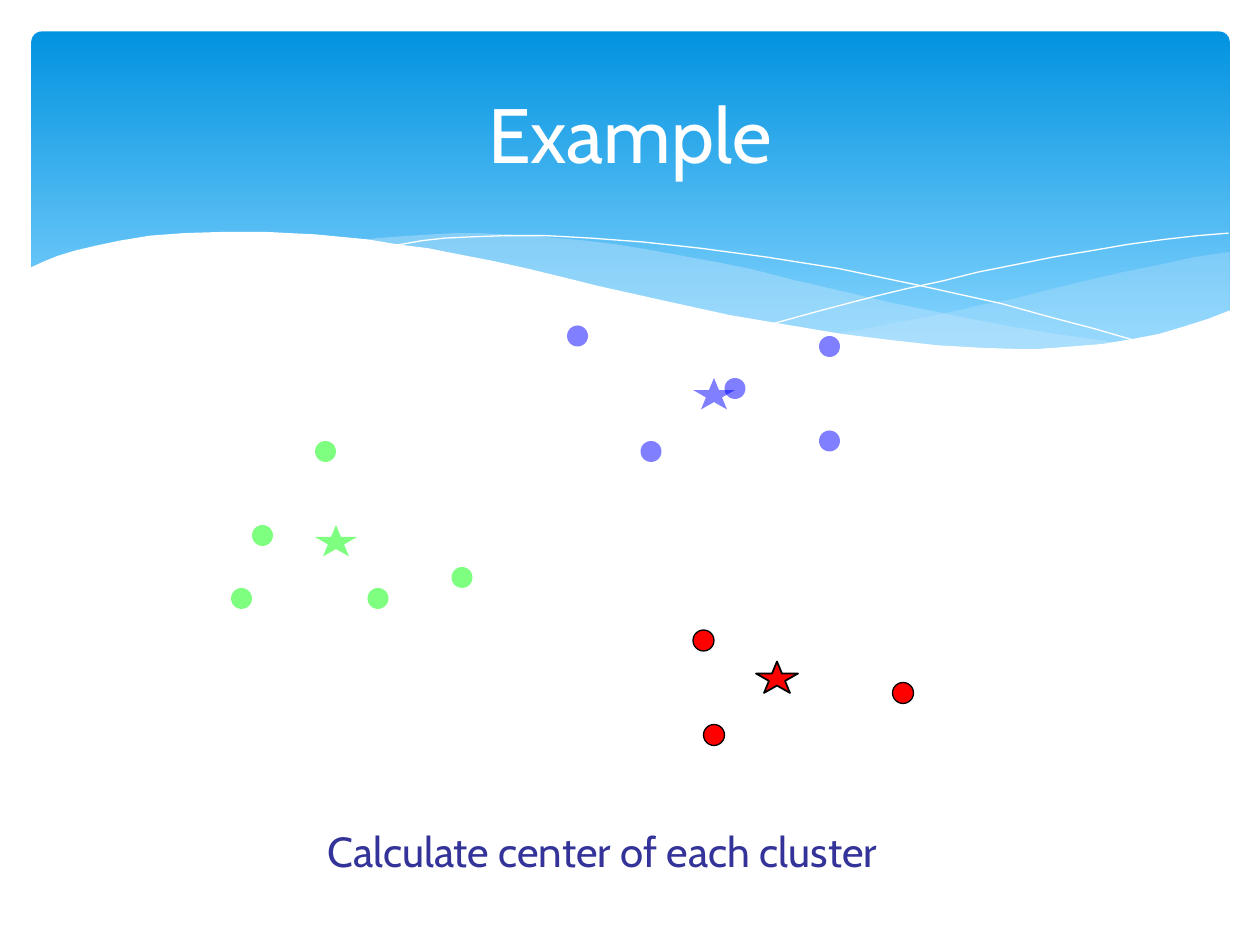
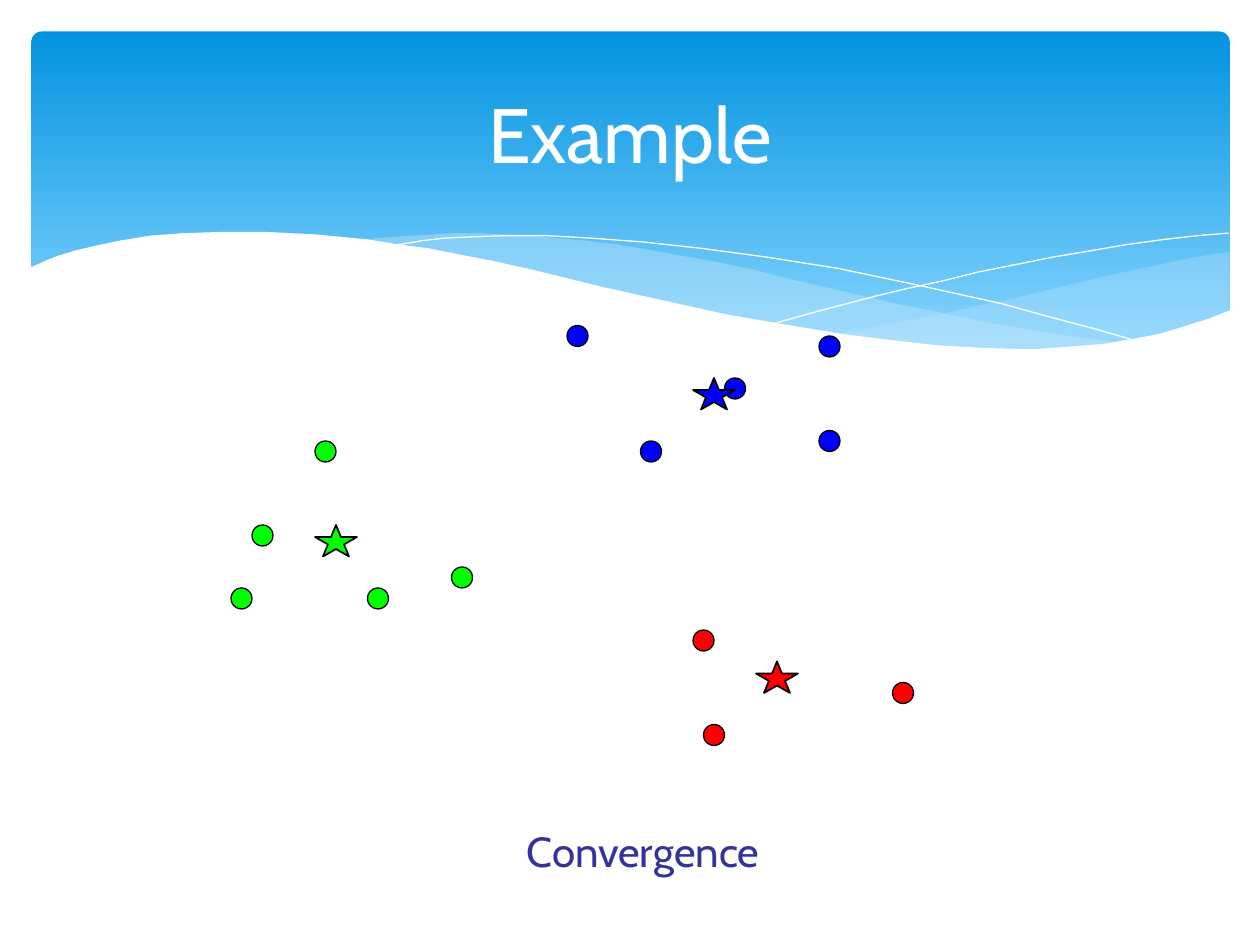
"""Build two slides that show cluster centers before and at convergence."""
import lxml.etree
import pptx
import pptx.dml.color
import pptx.enum.shapes
import pptx.enum.text
import pptx.oxml.ns
import pptx.util

COLORS = {
    "sky_top": "0293E0", "sky_bottom": "83D3FE", "mist": "C6E7FC",
    "white": "FFFFFF", "black": "000000", "caption": "333399",
    "green": "00FF00", "blue": "0000FF", "red": "FF0000",
}
FONT = "Cabin"
SLIDE_WIDTH, SLIDE_HEIGHT = pptx.util.Inches(10), pptx.util.Inches(7.5)
CELL = SLIDE_WIDTH / 120
FINE_CELL = SLIDE_WIDTH / 1000
DOT_SIZE = (2, 2)
STAR_SIZE = (4, 3)
SHAPES = pptx.enum.shapes.MSO_SHAPE

RIGHT_MIST = [
    (975, 200), (948, 204), (921, 210), (891, 216), (861, 223), (832, 230),
    (805, 237), (779, 242), (753, 248), (729, 253), (706, 257), (683, 262),
    (661, 265), (691, 269), (719, 272), (745, 275), (769, 277), (792, 277),
    (814, 278), (835, 277), (854, 276), (872, 274), (889, 272), (905, 269),
    (921, 265), (935, 262), (949, 257), (963, 252), (976, 247), (976, 200),
]
MIDDLE_MIST = [
    (893, 273), (866, 269), (837, 265), (807, 260), (775, 254), (741, 247),
    (706, 240), (668, 231), (629, 222), (598, 214), (569, 208), (541, 203),
    (514, 198), (489, 194), (465, 191), (442, 189), (420, 187), (399, 186),
    (380, 185), (361, 185), (344, 186), (328, 187), (313, 188), (299, 189),
    (286, 191), (323, 196), (362, 203), (404, 211), (449, 222), (491, 232),
    (530, 240), (566, 248), (601, 255), (634, 261), (665, 266), (695, 270),
    (722, 274), (748, 276), (773, 277), (796, 278), (818, 278), (838, 278),
    (857, 277), (876, 275),
]
FALLING_LINE = [
    (309, 195), (318, 194), (335, 191), (353, 189), (374, 188), (401, 187),
    (433, 187), (469, 189), (510, 192), (556, 197), (608, 204), (665, 213),
    (727, 226), (795, 241), (831, 251), (869, 261), (907, 272),
]
RISING_LINE = [
    (613, 257), (653, 246), (695, 235), (720, 229), (748, 223), (776, 216),
    (806, 210), (836, 204), (866, 199), (895, 194), (924, 190), (951, 187),
    (975, 185),
]
WHITE_WAVE = [
    (977, 246), (959, 253), (940, 259), (920, 265), (899, 269), (875, 273),
    (850, 275), (823, 277), (809, 277), (778, 276), (744, 274), (708, 270),
    (668, 265), (626, 258), (579, 250), (529, 239), (475, 227), (447, 220),
    (418, 213), (391, 207), (365, 202), (340, 197), (316, 194), (292, 190),
    (271, 188), (250, 186), (230, 185), (211, 184), (177, 184), (146, 185),
    (119, 187), (95, 191), (76, 195), (59, 199), (46, 203), (36, 207),
    (25, 212), (23, 213), (23, 329), (977, 329),
]
WAVES = [
    (RIGHT_MIST, "mist", 29, None),
    (MIDDLE_MIST, "mist", 40, None),
    (FALLING_LINE, None, 100, ("white", 0)),
    (RISING_LINE, None, 100, ("white", 0)),
    (WHITE_WAVE, "white", 100, None),
]
CLUSTERS = {
    "green": {"center": (30, 50),
              "dots": [(24, 50), (30, 42), (35, 56), (22, 56), (43, 54)]},
    "blue": {"center": (66, 36),
             "dots": [(61, 42), (69, 36), (78, 41), (78, 32), (54, 31)]},
    "red": {"center": (72, 63), "dots": [(67, 69), (85, 65), (66, 60)]},
}
PAGES = [
    {"caption": "Calculate center of each cluster", "column": 30, "width": 67,
     "faded": ("green", "blue")},
    {"caption": "Convergence", "column": 49, "width": 30, "faded": ()},
]


def add_text(text, page, place, size, color, align="LEFT", anchor="TOP"):
    """Write one line of text in a box placed in grid cells."""
    box = page.shapes.add_textbox(*[round(cells * CELL) for cells in place])
    frame = box.text_frame
    frame.word_wrap = True
    frame.vertical_anchor = getattr(pptx.enum.text.MSO_ANCHOR, anchor)
    para = frame.paragraphs[0]
    para.alignment = getattr(pptx.enum.text.PP_ALIGN, align)
    span = para.add_run()
    span.text = text
    span.font.name = FONT
    span.font.size = pptx.util.Pt(size)
    span.font.color.rgb = pptx.dml.color.RGBColor.from_string(COLORS[color])


def paint(shape, fill, opacity=100, outline=None):
    """Set fill, opacity in percent and outline (color, points) of a shape."""
    shape.shadow.inherit = False
    if fill:
        shape.fill.solid()
        shape.fill.fore_color.rgb = pptx.dml.color.RGBColor.from_string(COLORS[fill])
        if opacity < 100:
            color = shape.element.spPr.find(".//" + pptx.oxml.ns.qn("a:srgbClr"))
            lxml.etree.SubElement(color, pptx.oxml.ns.qn("a:alpha"),
                                  val=str(opacity * 1000))
    else:
        shape.fill.background()
    if outline:
        shape.line.color.rgb = pptx.dml.color.RGBColor.from_string(COLORS[outline[0]])
        shape.line.width = pptx.util.Pt(outline[1])
    else:
        shape.line.fill.background()


deck = pptx.Presentation()
deck.slide_width, deck.slide_height = SLIDE_WIDTH, SLIDE_HEIGHT

for content in PAGES:
    page = deck.slides.add_slide(deck.slide_layouts[6])

    banner = page.shapes.add_shape(
        SHAPES.ROUNDED_RECTANGLE,
        *[round(cells * CELL) for cells in (3, 3, 114.1, 32.4)])
    banner.adjustments[0] = 0.03
    paint(banner, None)
    banner.fill.gradient()
    banner.fill.gradient_angle = 270
    for stop, position, color in zip(
            banner.fill.gradient_stops, (0, 0.9), ("sky_top", "sky_bottom")):
        stop.position = position
        stop.color.rgb = pptx.dml.color.RGBColor.from_string(COLORS[color])

    for points, fill, opacity, outline in WAVES:
        builder = page.shapes.build_freeform(*points[0], scale=FINE_CELL)
        builder.add_line_segments(points[1:], close=fill is not None)
        paint(builder.convert_to_shape(), fill, opacity, outline)

    for kind, size, width in ((SHAPES.OVAL, DOT_SIZE, 0.75),
                              (SHAPES.STAR_5_POINT, STAR_SIZE, 1)):
        for color, cluster in CLUSTERS.items():
            faded = color in content["faded"]
            spots = cluster["dots"] if kind == SHAPES.OVAL else [cluster["center"]]
            for spot in spots:
                marker = page.shapes.add_shape(
                    kind, *[round(cells * CELL) for cells in spot + size])
                paint(marker, color, 50 if faded else 100,
                      None if faded else ("black", width))

    add_text(content["caption"], page, size=24, color="caption",
             place=(content["column"], 78, content["width"], 6))
    add_text("Example", page, size=44, color="white", align="CENTER",
             anchor="MIDDLE", place=(6, 4.4, 108, 16.4))

deck.save("out.pptx")
